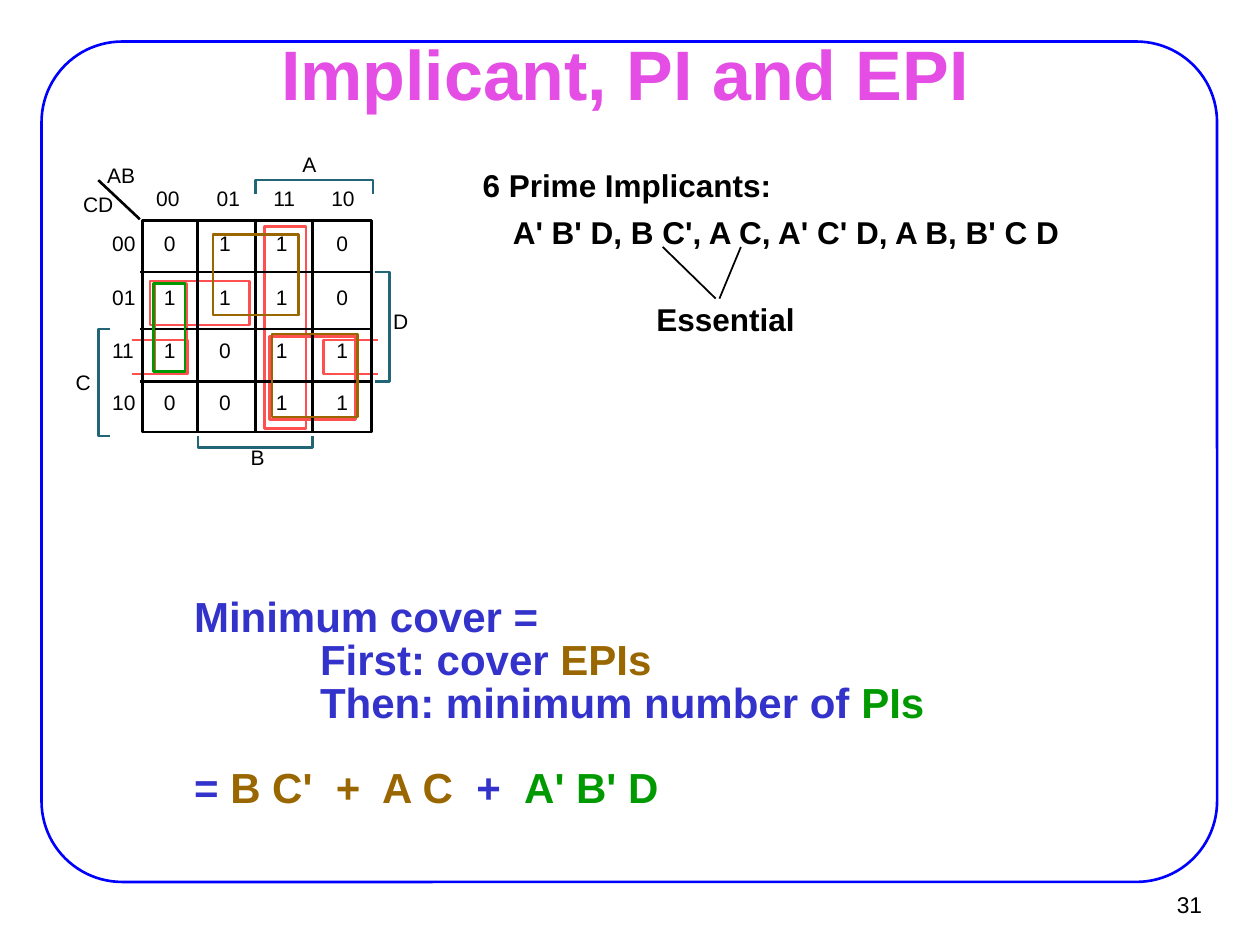
"""Build the Karnaugh map slide on implicants, prime implicants and essential ones."""
from typing import NamedTuple

from lxml import etree
from pptx import Presentation
from pptx.dml.color import RGBColor
from pptx.enum import shapes, text
from pptx.oxml import ns
from pptx.util import Inches, Pt

BLACK, BLUE, PINK = "000000", "3333CC", "E44EE4"
RED, BROWN, GREEN, TEAL, FRAME = "FF5050", "996600", "009900", "226577", "0000FF"


class Loop(NamedTuple):
    left: float
    top: float
    width: float
    height: float
    colour: str


class Path(NamedTuple):
    points: tuple
    colour: str


class Label(NamedTuple):
    wording: str
    left: float
    top: float
    width: float


class Line(NamedTuple):
    runs: tuple
    indent: float = 0
    before: float = 0


COLUMN_CODES = {"00": 1.24, "01": 1.72, "11": 2.17, "10": 2.63}
ROW_CODES = {"00": 1.83, "01": 2.26, "11": 2.68, "10": 3.09}
CELL_LEFTS = (1.3, 1.74, 2.19, 2.67)
CELL_ROWS = ("0110", "1110", "1011", "0011")
COLUMN_RULES = (1.57, 2.03, 2.48)
ROW_RULES = (2.16, 2.61, 3.03)

PRIME_LOOPS = (
    Loop(1.69, 1.86, 0.68, 0.64, RED),
    Loop(2.1, 1.8, 0.33, 1.6, RED),
    Loop(1.23, 2.25, 0.25, 0.71, RED),
    Loop(1.19, 2.23, 0.79, 0.35, RED),
    Loop(2.14, 2.67, 0.68, 0.66, RED),
)
WRAPPED_LOOPS = (
    Path(((1.05, 2.97), (1.49, 2.97), (1.49, 2.7), (1.05, 2.7)), RED),
    Path(((3, 2.97), (2.57, 2.97), (2.57, 2.7), (3, 2.7)), RED),
)
VARIABLE_BRACKETS = (
    Path(((2.03, 1.54), (2.03, 1.43), (2.96, 1.43), (2.96, 1.54)), TEAL),
    Path(((0.87, 3.46), (0.78, 3.46), (0.78, 2.61), (0.87, 2.61)), TEAL),
    Path(((2.48, 3.46), (2.48, 3.55), (1.57, 3.55), (1.57, 3.46)), TEAL),
    Path(((2.98, 2.16), (3.09, 2.16), (3.09, 3.03), (2.98, 3.03)), TEAL),
)
COVER_LOOPS = (
    Loop(1.69, 1.86, 0.68, 0.64, BROWN),
    Loop(2.16, 2.65, 0.68, 0.66, BROWN),
    Loop(1.22, 2.25, 0.25, 0.7, GREEN),
)
VARIABLES = (
    Label("AB", 0.85, 1.29, 0.27),
    Label("CD", 0.66, 1.52, 0.29),
    Label("A", 2.4, 1.2, 0.16),
    Label("B", 1.99, 3.53, 0.16),
    Label("C", 0.6, 2.93, 0.17),
    Label("D", 3.12, 2.45, 0.17),
)
COVER = (
    Line((("Minimum cover =", BLUE),)),
    Line((("First: cover ", BLUE), ("EPIs", BROWN)), indent=1),
    Line((("Then: minimum number of ", BLUE), ("PIs", GREEN)), indent=1),
    Line((("= ", BLUE), ("B C'  +  A C", BROWN), ("  +  ", BLUE), ("A' B' D", GREEN)),
         before=24),
)


def rgb(colour: str) -> RGBColor:
    return RGBColor.from_string(colour)


def add_text(slide, lines, left: float, top: float, width: float, height: float, *,
             size: float = 12, colour: str = BLACK, bold: bool = False, wrap: bool = False,
             align=text.PP_ALIGN.LEFT, anchor=text.MSO_ANCHOR.TOP,
             spacing: float = 1, inset: tuple = (0, 0)) -> None:
    if isinstance(lines, str):
        lines = (Line(((lines, colour),)),)
    frame = slide.shapes.add_textbox(
        Inches(left), Inches(top), Inches(width), Inches(height)).text_frame
    frame.word_wrap, frame.vertical_anchor = wrap, anchor
    frame.margin_left = frame.margin_right = Inches(inset[0])
    frame.margin_top = frame.margin_bottom = Inches(inset[1])
    for index, line in enumerate(lines):
        paragraph = frame.add_paragraph() if index else frame.paragraphs[0]
        paragraph.alignment, paragraph.line_spacing = align, spacing
        if line.before:
            paragraph.space_before = Pt(line.before)
        if line.indent:
            paragraph._p.get_or_add_pPr().set("marL", str(Inches(line.indent)))
        for wording, run_colour in line.runs:
            run = paragraph.add_run()
            run.text = wording
            run.font.name, run.font.size, run.font.bold = "Arial", Pt(size), bold
            run.font.color.rgb = rgb(run_colour)


def outline(shape, colour: str) -> None:
    shape.shadow.inherit = False
    shape.fill.background()
    shape.line.color.rgb = rgb(colour)
    shape.line.width = Pt(1.5)


def add_loop(slide, loop: Loop, kind=shapes.MSO_SHAPE.RECTANGLE):
    shape = slide.shapes.add_shape(kind, *(Inches(length) for length in loop[:4]))
    outline(shape, loop.colour)
    return shape


def add_path(slide, path: Path) -> None:
    start, *rest = [(Inches(x), Inches(y)) for x, y in path.points]
    builder = slide.shapes.build_freeform(*start)
    builder.add_line_segments(rest, close=False)
    outline(builder.convert_to_shape(), path.colour)


def add_rule(slide, start: tuple, end: tuple, width: float = 1.5) -> None:
    rule = slide.shapes.add_connector(
        shapes.MSO_CONNECTOR.STRAIGHT, *(Inches(place) for place in start + end))
    rule.line.color.rgb = rgb(BLACK)
    rule.line.width = Pt(width)
    etree.SubElement(rule._element.spPr, ns.qn("a:effectLst"))


def add_map(slide) -> None:
    for loop in PRIME_LOOPS:
        add_loop(slide, loop)
    for path in WRAPPED_LOOPS:
        add_path(slide, path)
    add_loop(slide, Loop(1.13, 1.75, 1.82, 1.68, BLACK))
    for y in ROW_RULES:
        add_rule(slide, (1.11, y), (2.94, y))
    for x in COLUMN_RULES:
        add_rule(slide, (x, 1.74), (x, 3.42))
    add_rule(slide, (1.11, 1.74), (0.78, 1.43))
    labels = [Label(code, left, 1.47, 0.23) for code, left in COLUMN_CODES.items()]
    labels += [Label(code, 0.89, top, 0.23) for code, top in ROW_CODES.items()]
    labels += [Label(value, left, top, 0.14)
               for values, top in zip(CELL_ROWS, ROW_CODES.values())
               for value, left in zip(values, CELL_LEFTS)]
    for label in (*labels, *VARIABLES):
        add_text(slide, label.wording, label.left, label.top, label.width, 0.2)
    for path in VARIABLE_BRACKETS:
        add_path(slide, path)
    for loop in COVER_LOOPS:
        add_loop(slide, loop)


def main() -> None:
    deck = Presentation()
    deck.slide_width, deck.slide_height = Inches(10), Inches(7.5)
    slide = deck.slides.add_slide(deck.slide_layouts[6])
    frame = add_loop(slide, Loop(0.33, 0.33, 9.33, 6.67, FRAME),
                     shapes.MSO_SHAPE.ROUNDED_RECTANGLE)
    frame.adjustments[0] = 0.096
    add_text(slide, "31", 9.02, 6.99, 0.61, 0.37, size=13, inset=(0.09, 0.04),
             align=text.PP_ALIGN.RIGHT, anchor=text.MSO_ANCHOR.MIDDLE)
    add_text(slide, "Implicant, PI and EPI", 2.16, 0.21, 5.6, 0.72, size=40, colour=PINK,
             bold=True, wrap=True, align=text.PP_ALIGN.CENTER, inset=(0.07, 0.03))
    body = dict(bold=True, spacing=0.85, inset=(0.07, 0.03))
    add_text(slide, "6 Prime Implicants:", 3.76, 1.33, 2.5, 0.31, size=18, **body)
    add_text(slide, "A' B' D, B C', A C, A' C' D, A B, B' C D", 4, 1.71, 4.55, 0.31,
             size=18, **body)
    add_text(slide, "Essential", 5.14, 2.4, 1.26, 0.57, size=18, **body)
    add_rule(slide, (5.71, 2.37), (5.88, 1.96), width=1)
    add_rule(slide, (5.68, 2.37), (5.26, 1.96), width=1)
    add_text(slide, COVER, 1.47, 4.72, 7.71, 1.76, size=24, wrap=True, **body)
    add_map(slide)
    deck.save("out.pptx")


if __name__ == "__main__":
    main()
